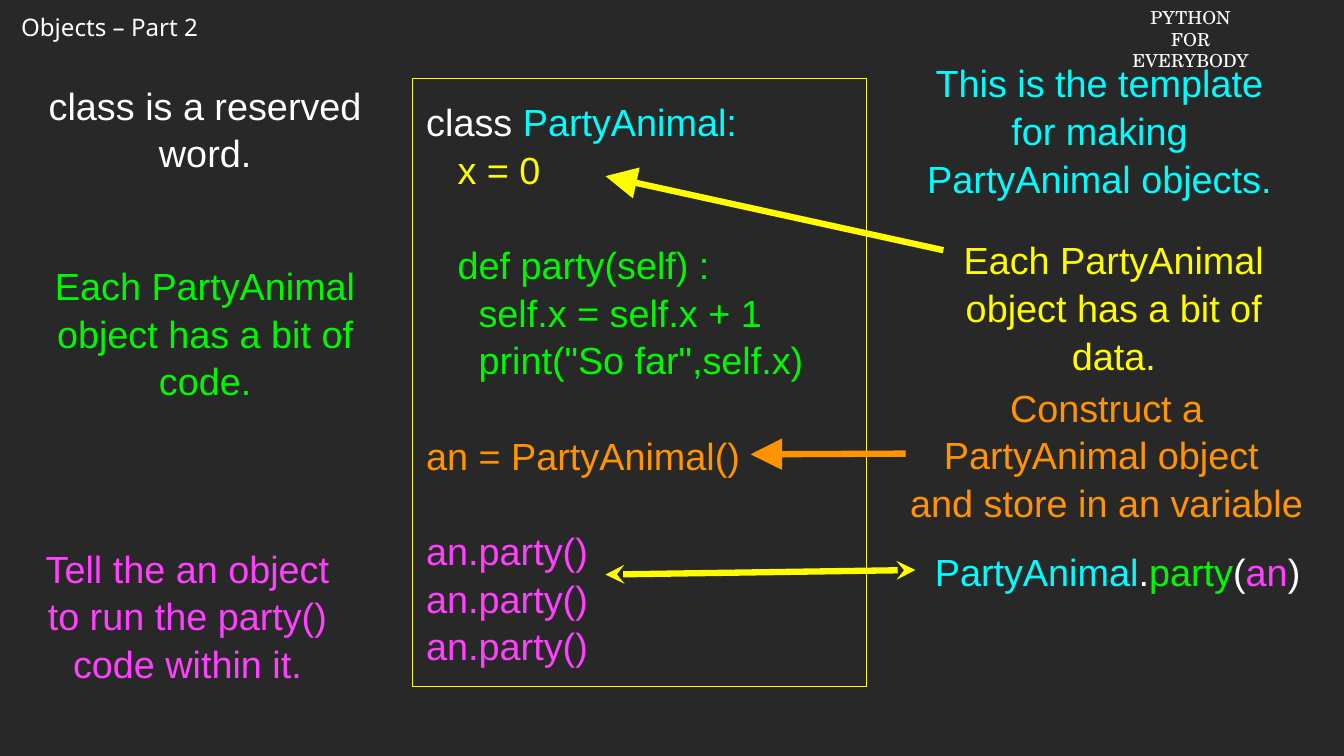
from lxml import etree
from pptx import Presentation
from pptx import util as u
from pptx.dml.color import RGBColor
from pptx.enum import shapes, text
from pptx.oxml.ns import qn

WIDTH, HEIGHT = u.Inches(17.78), u.Inches(10)
DARK = RGBColor(0x28, 0x28, 0x28)
WHITE = RGBColor(0xFF, 0xFF, 0xFF)
CYAN = RGBColor(0x00, 0xFD, 0xFF)
YELLOW = RGBColor(0xFF, 0xFB, 0x00)
GREEN = RGBColor(0x00, 0xF9, 0x00)
ORANGE = RGBColor(0xFF, 0x93, 0x00)
PINK = RGBColor(0xFF, 0x40, 0xFF)

CODE = [
    [(" class ", WHITE), ("PartyAnimal:", CYAN)],
    [("    x = 0", YELLOW)],
    [],
    [("    def party(self) :", GREEN)],
    [("      self.x = self.x + 1", GREEN)],
    [('      print("So far",self.x)', GREEN)],
    [],
    [(" an = PartyAnimal()", ORANGE)],
    [],
] + [[(" an.party()", PINK)]] * 3

CALL = [[("PartyAnimal", CYAN), (".", WHITE), ("party", GREEN),
         ("(", WHITE), ("an", PINK), (")", WHITE)]]


def across(share):
    return int(WIDTH * share / 100)


def down(share):
    return int(HEIGHT * share / 100)


def area(x, y, w, h):
    """Turn percentages of the slide into left, top, width and height."""
    return across(x), down(y), across(w), down(h)


def write(sp, lines, size=36, font="Arial", align=text.PP_ALIGN.CENTER,
          anchor=text.MSO_ANCHOR.MIDDLE, inset=0.04, spacing=1.05):
    """Fill a shape with lines, each a list of (text, colour) runs."""
    tf = sp.text_frame
    tf.word_wrap = True
    tf.vertical_anchor = anchor
    if inset is not None:
        tf.margin_left = tf.margin_right = u.Inches(inset)
        tf.margin_top = tf.margin_bottom = u.Inches(inset)
    for i, line in enumerate(lines):
        p = tf.add_paragraph() if i else tf.paragraphs[0]
        p.alignment = align
        p.line_spacing = spacing
        p.font.size = u.Pt(size)
        p.font.name = font
        for words, color in line:
            for j, part in enumerate(words.split("\v")):
                if j:
                    p.add_line_break()
                r = p.add_run()
                r.text = part
                r.font.size = u.Pt(size)
                r.font.name = font
                r.font.color.rgb = color


def add_text(s, box, lines, **fmt):
    sp = s.shapes.add_textbox(*area(*box))
    write(sp, lines, **fmt)
    return sp


def add_code(s, box, lines):
    sp = s.shapes.add_shape(shapes.MSO_SHAPE.RECTANGLE, *area(*box))
    sp.shadow.inherit = False
    sp.fill.background()
    sp.line.color.rgb = YELLOW
    sp.line.width = u.Pt(1)
    write(sp, lines, align=text.PP_ALIGN.LEFT)


def add_arrow(s, start, end, color, target=None, size="lg", **heads):
    """Draw an arrow; target is a box whose left side the arrow ends at."""
    c = s.shapes.add_connector(shapes.MSO_CONNECTOR.STRAIGHT,
                               across(start[0]), down(start[1]),
                               across(end[0]), down(end[1]))
    if target is not None:
        c.end_connect(target, 1)
    c.line.color.rgb = color
    c.line.width = u.Pt(6)
    ln = c.line._get_or_add_ln()
    for name, kind in heads.items():
        etree.SubElement(ln, qn(f"a:{name}"), type=kind, w=size, len=size)
    etree.SubElement(c._element.spPr, qn("a:effectLst"))


def main():
    prs = Presentation()
    prs.slide_width, prs.slide_height = WIDTH, HEIGHT
    s = prs.slides.add_slide(prs.slide_layouts[6])
    s.background.fill.solid()
    s.background.fill.fore_color.rgb = DARK

    header = dict(anchor=text.MSO_ANCHOR.TOP, inset=None, spacing=1.0)
    add_text(s, (1.01, 1.2, 15.02, 4.9), [[("Objects – Part 2", WHITE)]],
             size=23, font="Noto Sans", align=text.PP_ALIGN.LEFT, **header)
    add_text(s, (83.69, 0.4, 9.79, 6.7),
             [[("PYTHON FOR", WHITE)], [("EVERYBODY", WHITE)]],
             size=17, font="TeX Gyre Schola", **header)

    add_code(s, (30.71, 10.4, 33.75, 80.4), CODE)

    notes = [
        ((67.38, 7, 28.85, 20.2), CYAN,
         "This is the template for making PartyAnimal objects."),
        ((0.84, 10.4, 28.85, 13), WHITE, "class is a reserved word."),
        ((68.45, 31, 28.85, 19), YELLOW,
         "Each PartyAnimal object has a bit of data."),
        ((0.84, 34.4, 28.85, 19), GREEN,
         "Each PartyAnimal object has a bit of code."),
        ((2.76, 71.8, 22.38, 19), PINK,
         "Tell the an object to run the party() code within it."),
    ]
    for box, color, words in notes:
        add_text(s, box, [[(words, color)]])
    construct = add_text(
        s, (67.38, 51.3, 29.92, 17.4),
        [[("Construct a PartyAnimal object \vand store in an variable", ORANGE)]])
    call = add_text(s, (68.11, 71.8, 30.09, 7.2), CALL)

    add_arrow(s, (45.05, 23.3), (70.19, 33.1), YELLOW, headEnd="triangle")
    add_arrow(s, (45.05, 76), (68.11, 75.4), YELLOW, call, "med",
              headEnd="stealth", tailEnd="stealth")
    add_arrow(s, (55.85, 60.1), (67.38, 60), ORANGE, construct,
              headEnd="triangle")
    prs.save("out.pptx")


if __name__ == "__main__":
    main()
